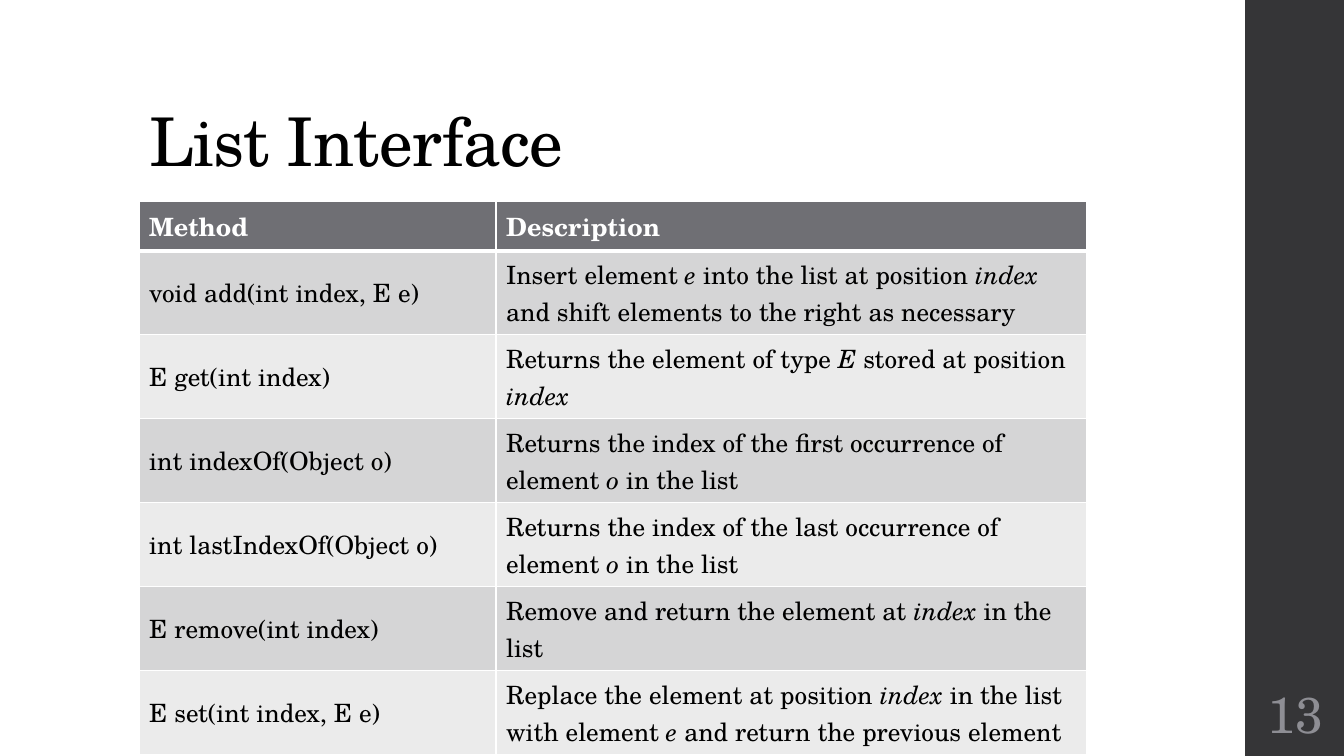
import pptx
import pptx.dml.color
import pptx.enum.shapes
import pptx.enum.text
import pptx.oxml
import pptx.oxml.ns
import pptx.util

Inches = pptx.util.Inches
Pt = pptx.util.Pt
Align = pptx.enum.text.PP_ALIGN
Anchor = pptx.enum.text.MSO_ANCHOR

METHODS = [
    ("Method", "Description"),
    ("void add(int index, E e)",
     "Insert element *e* into the list at position *index* and shift elements to the right as necessary"),
    ("E get(int index)", "Returns the element of type *E* stored at position *index*"),
    ("int indexOf(Object o)", "Returns the index of the first occurrence of element *o* in the list"),
    ("int lastIndexOf(Object o)", "Returns the index of the last occurrence of element *o* in the list"),
    ("E remove(int index)", "Remove and return the element at *index* in the list"),
    ("E set(int index, E e)",
     "Replace the element at position *index* in the list with element *e* and return the previous element"),
]


def color(hex_code):
    return pptx.dml.color.RGBColor.from_string(hex_code)


class SlideBuilder:
    FONT = "TeX Gyre Schola"
    INK, PAPER = "000000", "FFFFFF"
    HEADER, BANDS = "6F6F74", ("D5D5D6", "EBEBEB")

    def __init__(self, page):
        self.page = page

    def fill_paragraph(self, para, text, size, ink, bold=False):
        """Add text to a paragraph; parts between asterisks become italic."""
        for number, part in enumerate(text.split("*")):
            if part:
                span = para.add_run()
                span.text = part
                if number % 2:
                    span.font.italic = True
        para.font.name = self.FONT
        para.font.size = Pt(size)
        para.font.bold = bold
        para.font.color.rgb = color(ink)

    def title(self, text, left, top, width, height):
        box = self.page.shapes.title
        box.left, box.top = Inches(left), Inches(top)
        box.width, box.height = Inches(width), Inches(height)
        frame = box.text_frame
        frame.auto_size = pptx.enum.text.MSO_AUTO_SIZE.NONE
        frame.vertical_anchor = Anchor.BOTTOM
        para = frame.paragraphs[0]
        para.alignment = Align.LEFT
        para.line_spacing = 0.9
        self.fill_paragraph(para, text, 48, self.INK)
        para.runs[0].font._element.set("spc", "-50")

    def bar(self, left, top, width, height, fill):
        shape = self.page.shapes.add_shape(
            pptx.enum.shapes.MSO_SHAPE.RECTANGLE,
            Inches(left), Inches(top), Inches(width), Inches(height))
        shape.shadow.inherit = False
        shape.fill.solid()
        shape.fill.fore_color.rgb = color(fill)
        shape.line.fill.background()

    def page_number(self, text, left, top, width, height):
        box = self.page.shapes.add_textbox(
            Inches(left), Inches(top), Inches(width), Inches(height))
        frame = box.text_frame
        frame.word_wrap = True
        frame.vertical_anchor = Anchor.MIDDLE
        frame.margin_left = frame.margin_right = Inches(0.05)
        frame.margin_top = frame.margin_bottom = Inches(0.05)
        para = frame.paragraphs[0]
        para.alignment = Align.CENTER
        self.fill_paragraph(para, text, 36, "8E8E94")

    def borders(self, cell, bottom):
        """Draw white cell borders, one point wide except at the bottom."""
        properties = cell._tc.get_or_add_tcPr()
        sides = (("lnL", 1), ("lnR", 1), ("lnT", 1), ("lnB", bottom))
        for position, (side, points) in enumerate(sides):
            line = pptx.oxml.parse_xml(
                f'<a:{side} {pptx.oxml.ns.nsdecls("a")} w="{Pt(points)}">'
                f'<a:solidFill><a:srgbClr val="{self.PAPER}"/></a:solidFill></a:{side}>')
            properties.insert(position, line)

    def table(self, rows, left, top, widths, row_height):
        table = self.page.shapes.add_table(
            len(rows), len(widths), Inches(left), Inches(top),
            Inches(sum(widths)), Inches(row_height * len(rows))).table
        for column, width in zip(table.columns, widths):
            column.width = Inches(width)
        for row_index, texts in enumerate(rows):
            table.rows[row_index].height = Inches(row_height)
            header = row_index == 0
            for column_index, text in enumerate(texts):
                cell = table.cell(row_index, column_index)
                cell.vertical_anchor = Anchor.MIDDLE
                cell.fill.solid()
                cell.fill.fore_color.rgb = color(
                    self.HEADER if header else self.BANDS[(row_index - 1) % 2])
                self.borders(cell, 3 if header else 1)
                self.fill_paragraph(cell.text_frame.paragraphs[0], text, 18,
                                    self.PAPER if header else self.INK, header)


def main():
    deck = pptx.Presentation()
    deck.slide_width, deck.slide_height = Inches(13.33), Inches(7.5)
    builder = SlideBuilder(deck.slides.add_slide(deck.slide_layouts[5]))
    builder.bar(12.35, 0, 1, 7.5, "353537")
    builder.title("List Interface", 1.38, 0.4, 10.6, 1.45)
    builder.table(METHODS, 1.38, 2, (3.54, 5.86), 0.41)
    builder.page_number("13", 12.35, 6.75, 1, 0.65)
    deck.save("out.pptx")


if __name__ == "__main__":
    main()
